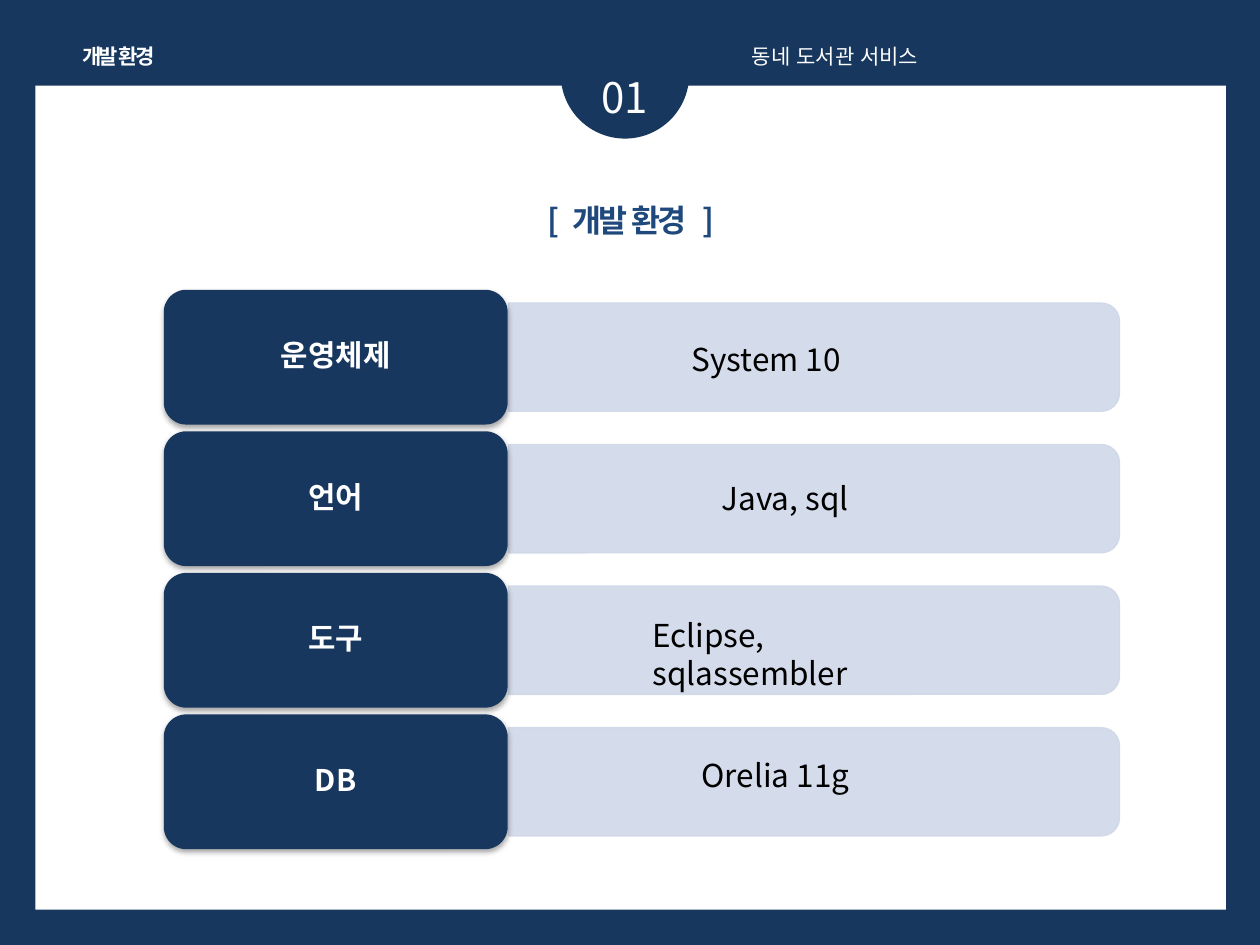
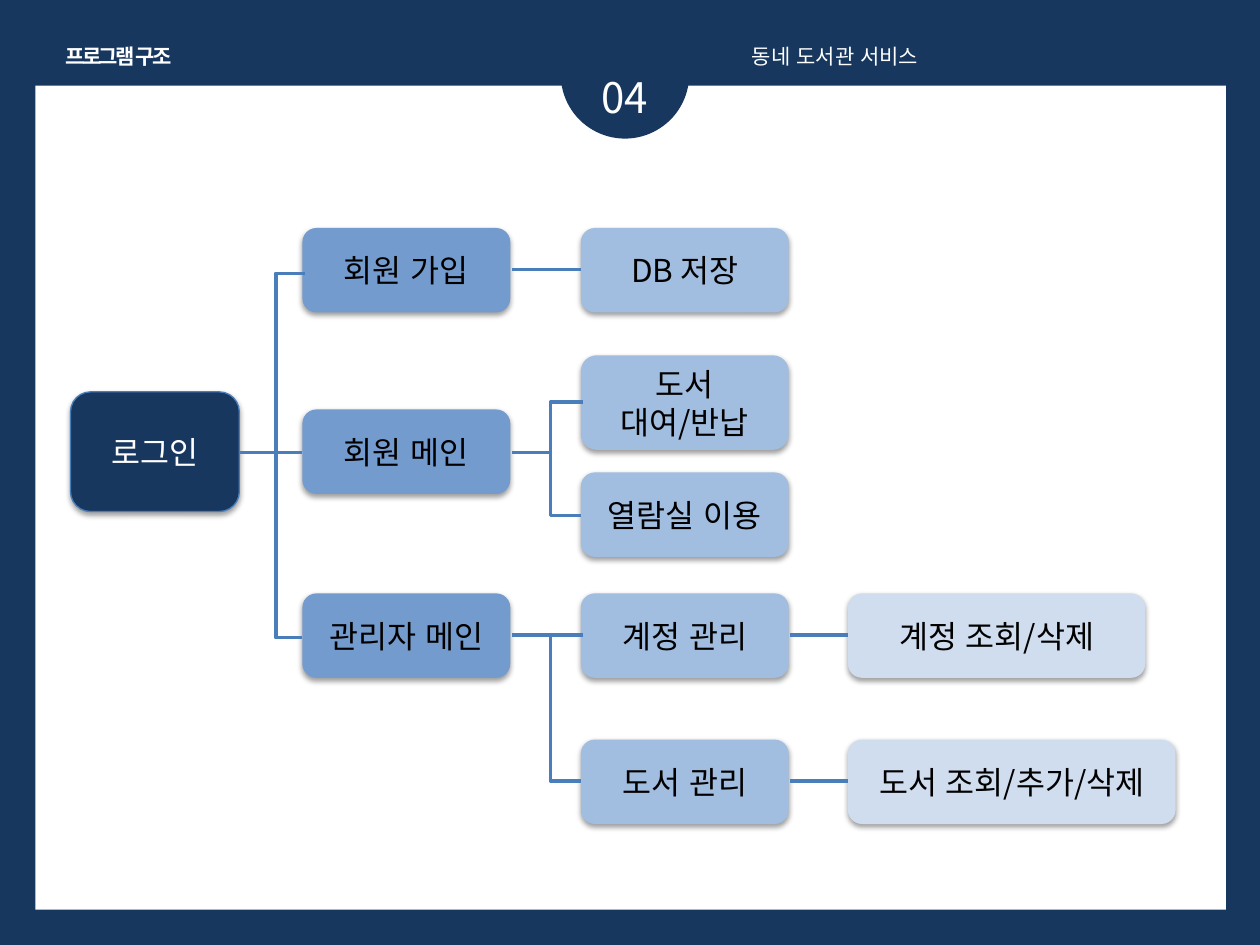
from lxml.etree import SubElement
from pptx import Presentation
from pptx.dml.color import RGBColor
from pptx.enum.lang import MSO_LANGUAGE_ID
from pptx.enum.shapes import MSO_CONNECTOR, MSO_SHAPE
from pptx.enum.text import MSO_ANCHOR, MSO_AUTO_SIZE, PP_ALIGN
from pptx.oxml.ns import qn
from pptx.util import Inches, Pt

NAVY = "17375E"
WHITE = "FFFFFF"
BLACK = "000000"
TITLE_BLUE = "1F497D"
LINE_BLUE = "4A7EBB"
BAR_BLUE = "D0D8E8"
LEVEL_BLUES = ["749BCE", "A1BDDF", "D0DDEF"]
FONT = "Noto Sans CJK KR"


def paint(color_format, color, alpha=None):
    color_format.rgb = RGBColor.from_string(color)
    if alpha is not None:
        for element in color_format._xFill.iter(qn("a:srgbClr")):
            SubElement(element, qn("a:alpha"), val=str(alpha * 1000))


def write(paragraph, text, size=18, color=BLACK, bold=False, spacing=0,
          align=PP_ALIGN.CENTER):
    paragraph.alignment = align
    run = paragraph.add_run()
    run.text = text
    font = run.font
    font.size = Pt(size)
    font.bold = bold
    font.name = FONT
    font.language_id = MSO_LANGUAGE_ID.KOREAN
    font.fill.solid()
    paint(font.fill.fore_color, color)
    properties = run._r.get_or_add_rPr()
    SubElement(properties, qn("a:ea"), typeface=FONT)
    if spacing:
        properties.set("spc", str(round(spacing * 100)))


class Deck:
    """Holds the shared style, the presentation and the current slide."""

    def __init__(self):
        self.presentation = Presentation()
        self.presentation.slide_width = Inches(10)
        self.presentation.slide_height = Inches(7.5)
        self.slide = None

    def start_slide(self, number, header, header_left, header_width):
        self.slide = self.presentation.slides.add_slide(self.presentation.slide_layouts[6])
        background = self.slide.background.fill
        background.solid()
        paint(background.fore_color, NAVY)
        self.shape(MSO_SHAPE.RECTANGLE, 0.28, 0.68, 9.45, 6.54, WHITE)
        self.shape(MSO_SHAPE.OVAL, 4.45, 0.08, 1.02, 1.02, NAVY)
        self.text(number, 4.37, 0.52, 1.18, 0.5, size=24, color=WHITE)
        self.text(header, header_left, 0.3, header_width, 0.3, wrap=False,
                  size=12, color=WHITE, bold=True, spacing=-1.5)
        self.text("동네 도서관 서비스", 5.87, 0.3, 3.94, 0.3,
                  size=12, color=WHITE, align=PP_ALIGN.JUSTIFY)

    def shape(self, kind, left, top, width, height, fill, line=None, alpha=None):
        shape = self.slide.shapes.add_shape(
            kind, Inches(left), Inches(top), Inches(width), Inches(height))
        shape.fill.solid()
        paint(shape.fill.fore_color, fill)
        if line:
            shape.line.width = Pt(0.75)
            shape.line.fill.solid()
            paint(shape.line.fill.fore_color, line)
        else:
            shape.line.fill.background()
        if alpha is not None:
            for element in shape.element.spPr.iter(qn("a:srgbClr")):
                SubElement(element, qn("a:alpha"), val=str(alpha * 1000))
        shape.shadow.inherit = False
        return shape

    def box(self, text, left, top, width, height, fill, line=None,
            shadow_alpha=38, shadow_distance=1.6, **style):
        shape = self.shape(MSO_SHAPE.ROUNDED_RECTANGLE, left, top, width, height, fill, line)
        effects = shape.element.spPr.find(qn("a:effectLst"))
        shadow = SubElement(effects, qn("a:outerShdw"), blurRad=str(Pt(3.15)),
                            dist=str(Pt(shadow_distance)), dir="5400000", rotWithShape="0")
        shadow_color = SubElement(shadow, qn("a:srgbClr"), val=BLACK)
        SubElement(shadow_color, qn("a:alpha"), val=str(shadow_alpha * 1000))
        frame = shape.text_frame
        frame.word_wrap = True
        frame.vertical_anchor = MSO_ANCHOR.MIDDLE
        write(frame.paragraphs[0], text, **style)
        return shape

    def text(self, text, left, top, width, height, wrap=True, **style):
        frame = self.slide.shapes.add_textbox(
            Inches(left), Inches(top), Inches(width), Inches(height)).text_frame
        frame.word_wrap = wrap
        frame.auto_size = MSO_AUTO_SIZE.SHAPE_TO_FIT_TEXT
        write(frame.paragraphs[0], text, **style)
        return frame.paragraphs[0]

    def line(self, start_x, start_y, end_x, end_y, bend_x=None):
        kind = MSO_CONNECTOR.STRAIGHT if bend_x is None else MSO_CONNECTOR.ELBOW
        connector = self.slide.shapes.add_connector(
            kind, Inches(start_x), Inches(start_y), Inches(end_x), Inches(end_y))
        connector.line.width = Pt(2)
        connector.line.fill.solid()
        paint(connector.line.fill.fore_color, LINE_BLUE)
        properties = connector.element.spPr
        SubElement(properties, qn("a:effectLst"))
        if bend_x is not None:
            bend = round((start_x - bend_x) / (start_x - end_x) * 100000)
            guides = properties.find(qn("a:prstGeom")).find(qn("a:avLst"))
            SubElement(guides, qn("a:gd"), name="adj1", fmla=f"val {bend}")


def build_environment(deck):
    deck.start_slide("01", "개발 환경", 0.53, 0.82)
    title_style = {"color": TITLE_BLUE, "bold": True}
    title = deck.text("[", 2.72, 1.55, 4.57, 0.4, **title_style)
    for text, spacing in [(" ", 3.6), ("개발 환경", -1.5), (" ", 3.6), ("]", 0)]:
        write(title, text, spacing=spacing, **title_style)

    rows = [
        ("운영체제", "System 10", 5.39, 2.65, 1.97),
        ("언어", "Java, sql", 5.63, 3.75, 1.26),
        ("도구", "Eclipse, sqlassembler", 5.08, 4.84, 2.6),
        ("DB", "Orelia 11g", 5.47, 5.95, 1.97),
    ]
    first_top, last_top = 2.3, 5.67
    pitch = (last_top - first_top) / (len(rows) - 1)
    for index, (label, value, value_left, value_top, value_width) in enumerate(rows):
        top = first_top + index * pitch
        bar = deck.shape(MSO_SHAPE.ROUND_2_SAME_RECTANGLE, 6.03, top - 1.89, 0.86, 4.85,
                         BAR_BLUE, line=BAR_BLUE, alpha=90)
        bar.rotation = 90
        box = deck.box(label, 1.3, top, 2.73, 1.07, NAVY, shadow_alpha=35,
                       shadow_distance=1.8, size=17, color=WHITE, bold=True)
        frame = box.text_frame
        frame.margin_left = frame.margin_right = Inches(0.07)
        frame.margin_top = frame.margin_bottom = Inches(0.04)
        frame.paragraphs[0].line_spacing = 0.9
        deck.text(value, value_left, value_top, value_width, 0.39, align=PP_ALIGN.LEFT)


def build_structure(deck):
    deck.start_slide("04", "프로그램 구조", 0.38, 1.12)
    deck.box("로그인", 0.56, 3.11, 1.34, 0.95, NAVY, line=LINE_BLUE, color=WHITE)

    levels = [
        (2.4, [("회원 가입", 1.81, 1.65, 0.67),
               ("회원 메인", 3.25, 1.65, 0.67),
               ("관리자 메인", 4.71, 1.65, 0.67)]),
        (4.61, [("DB 저장", 1.81, 1.65, 0.67),
                ("도서 대여/반납", 2.82, 1.65, 0.75),
                ("열람실 이용", 3.75, 1.65, 0.67),
                ("계정 관리", 4.71, 1.65, 0.67),
                ("도서 관리", 5.87, 1.65, 0.67)]),
        (6.73, [("계정 조회/삭제", 4.71, 2.36, 0.67),
                ("도서 조회/추가/삭제", 5.87, 2.6, 0.67)]),
    ]
    for (left, boxes), fill in zip(levels, LEVEL_BLUES):
        for text, top, width, height in boxes:
            deck.box(text, left, top, width, height, fill)

    for start_x, end_x, y in [(1.9, 2.4, 3.59), (4.06, 4.61, 2.14), (4.06, 4.38, 3.59),
                              (4.06, 4.61, 5.04), (6.27, 6.73, 5.04), (6.27, 6.73, 6.2)]:
        deck.line(start_x, y, end_x, y)
    for end_x, start_y, end_y, bend_x in [(2.4, 2.17, 5.06, 2.19), (4.61, 3.19, 4.09, 4.37),
                                          (4.61, 5.04, 6.2, 4.37)]:
        deck.line(end_x + 0.02, start_y, end_x, end_y, bend_x)


def main():
    deck = Deck()
    build_environment(deck)
    build_structure(deck)
    deck.presentation.save("out.pptx")


if __name__ == "__main__":
    main()
